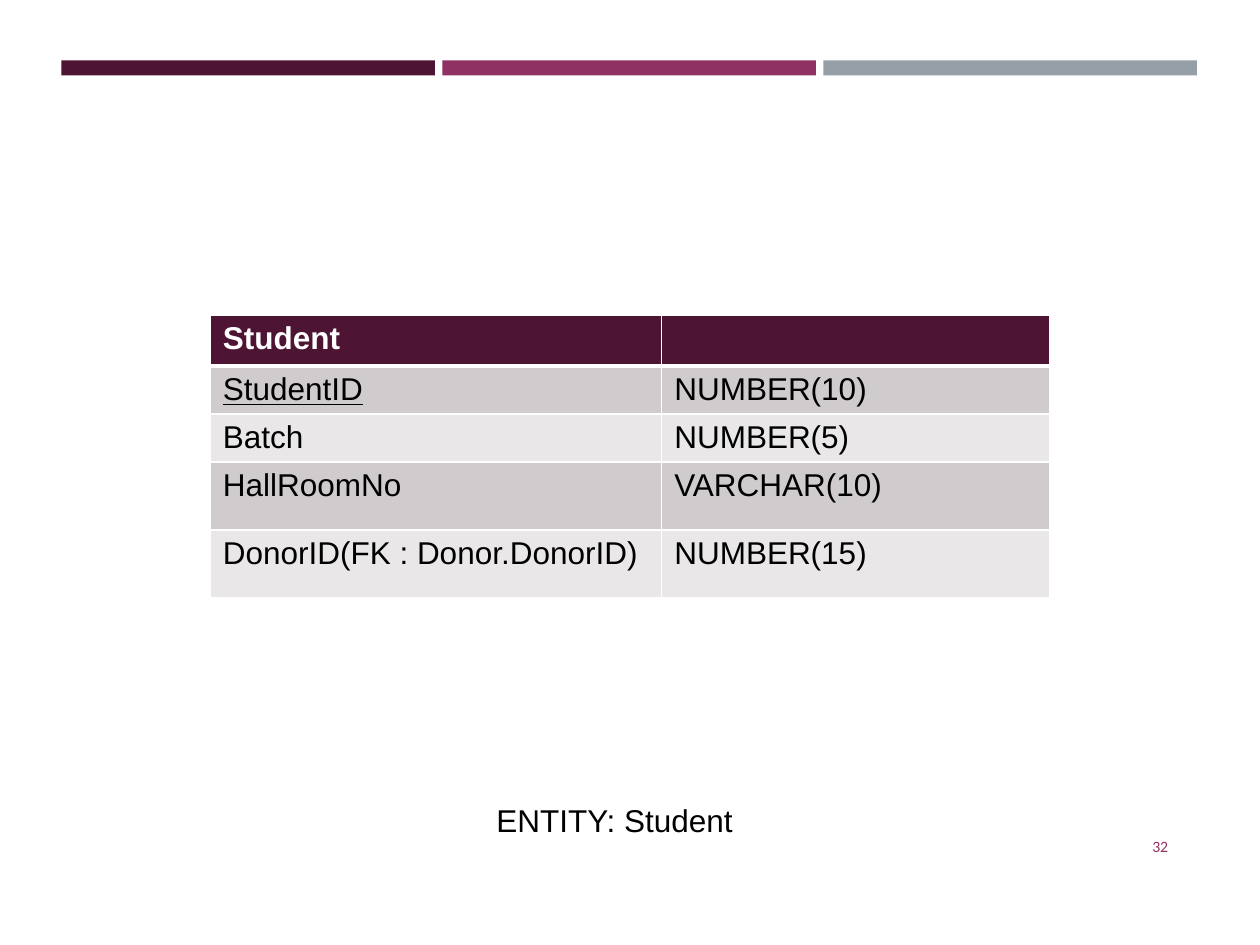
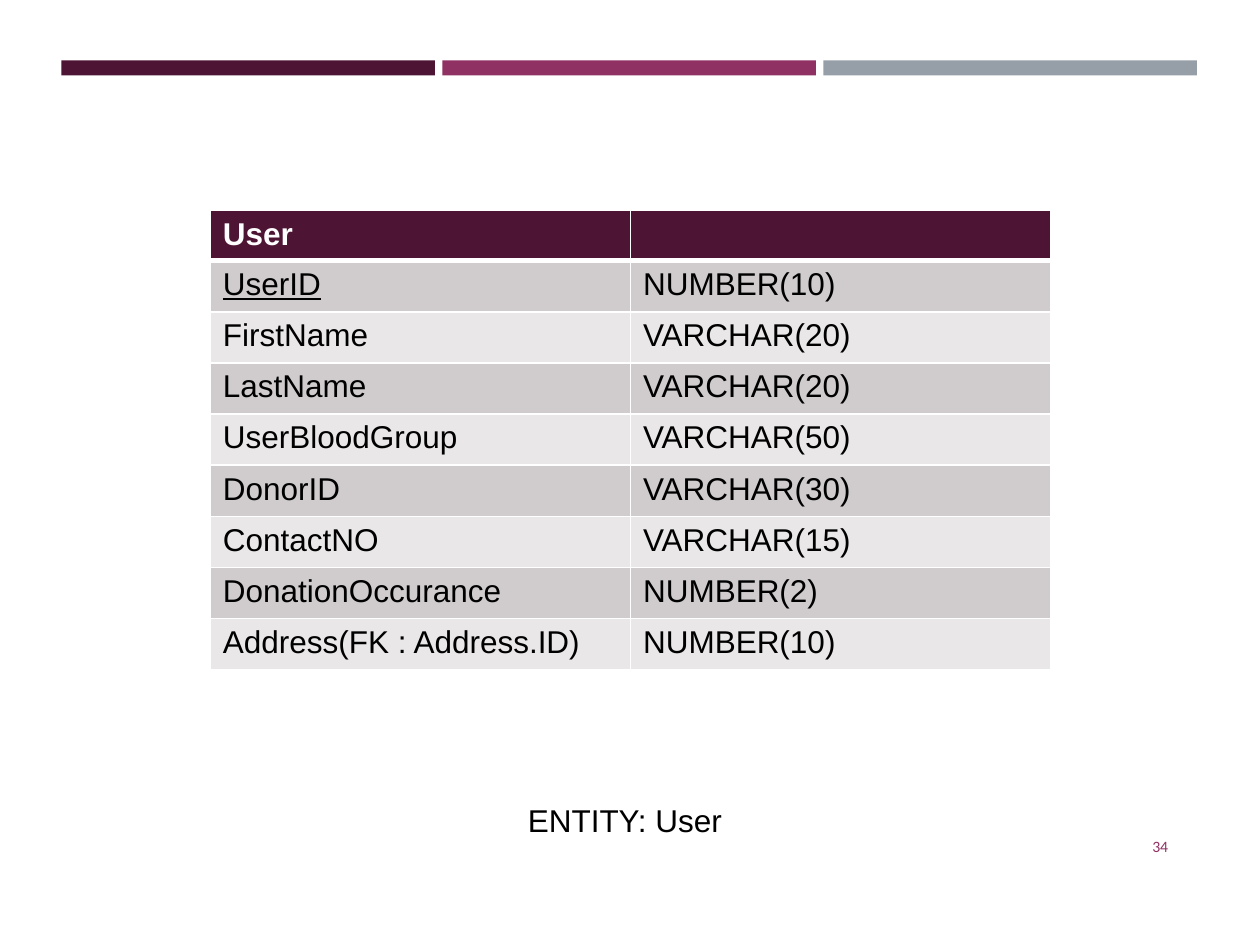
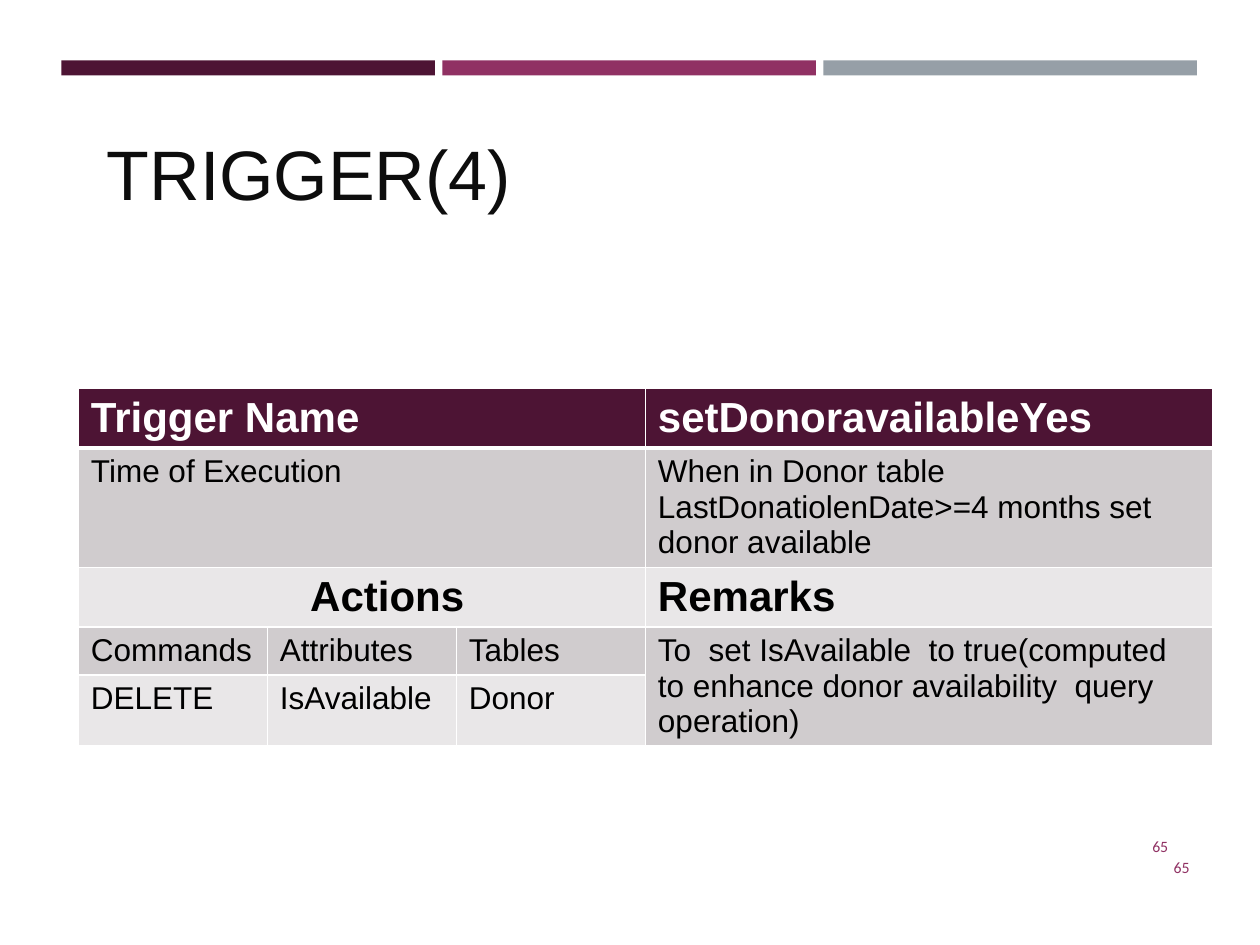
from lxml import etree
from pptx import Presentation
from pptx.dml.color import RGBColor
from pptx.enum import shapes, text
from pptx.oxml import ns
from pptx.util import Cm, Pt

PLUM = RGBColor(0x4D, 0x14, 0x34)
MAGENTA = RGBColor(0x90, 0x31, 0x63)
SLATE = RGBColor(0x96, 0x9F, 0xA7)
BAND_DARK = RGBColor(0xD0, 0xCC, 0xCE)
BAND_LIGHT = RGBColor(0xE9, 0xE7, 0xE8)
WHITE = RGBColor(0xFF, 0xFF, 0xFF)
BLACK = RGBColor(0, 0, 0)
TITLE_INK = RGBColor(0x0D, 0x0D, 0x0D)

CAPTION = {"name": "Arial", "size": Pt(18)}
NUMBER = {"name": "Calibri", "size": Pt(9)}
TITLE = {"name": "Arial", "size": Pt(40)}
BODY = {"name": "Arial", "size": Pt(18), "bold": False}
HEAD = {"name": "Arial", "size": Pt(18), "bold": True}
BIG_HEAD = {**HEAD, "size": Pt(24)}


def write(tf, content, fmt, color, align=text.PP_ALIGN.LEFT):
    """Put one formatted paragraph into a text frame."""
    p = tf.paragraphs[0]
    p.alignment = align
    r = p.add_run()
    r.text = content
    for name, value in fmt.items():
        setattr(r.font, name, value)
    r.font.color.rgb = color
    return p


def add_grid(s, left, top, widths, heights, rows, big_rows=()):
    """Add a banded table with white rules; big_rows are set as headings."""
    size = Cm(sum(widths)), Cm(sum(heights))
    table = s.shapes.add_table(len(rows), len(widths), Cm(left), Cm(top), *size).table
    for column, width in zip(table.columns, widths):
        column.width = Cm(width)
    for i, (row, height) in enumerate(zip(rows, heights)):
        table.rows[i].height = Cm(height)
        fill = PLUM if i == 0 else BAND_DARK if i % 2 else BAND_LIGHT
        fmt = BIG_HEAD if i in big_rows else BODY if i else HEAD
        for j, content in enumerate(row):
            cell = table.cell(i, j)
            tc_pr = cell._tc.get_or_add_tcPr()
            for side in ("L", "R", "T", "B"):
                thick = (i, side) in ((0, "B"), (1, "T"))
                ln = etree.SubElement(tc_pr, ns.qn(f"a:ln{side}"), w=str(Pt(3 if thick else 1)))
                ink = etree.SubElement(ln, ns.qn("a:solidFill"))
                etree.SubElement(ink, ns.qn("a:srgbClr"), val=str(WHITE))
            cell.fill.solid()
            cell.fill.fore_color.rgb = fill
            if content:
                write(cell.text_frame, content, fmt, BLACK if i else WHITE)
    return table


prs = Presentation()
prs.slide_width, prs.slide_height = Cm(25.4), Cm(19.05)

entities = [
    {"name": "Student", "number": "32", "top": 6.35, "caption_left": 6.99,
     "widths": (9.1, 7.83), "heights": (0.95, 0.95, 0.95, 1.37, 1.37),
     "fields": [("StudentID", "NUMBER(10)"), ("Batch", "NUMBER(5)"),
                ("HallRoomNo", "VARCHAR(10)"),
                ("DonorID(FK : Donor.DonorID)", "NUMBER(15)")]},
    {"name": "User", "number": "34", "top": 4.24, "caption_left": 7.2,
     "widths": (8.47, 8.47), "heights": (0.95,) + (1.03,) * 8,
     "fields": [("UserID", "NUMBER(10)"), ("FirstName", "VARCHAR(20)"),
                ("LastName", "VARCHAR(20)"), ("UserBloodGroup", "VARCHAR(50)"),
                ("DonorID", "VARCHAR(30)"), ("ContactNO", "VARCHAR(15)"),
                ("DonationOccurance", "NUMBER(2)"),
                ("Address(FK : Address.ID)", "NUMBER(10)")]},
]

# Entity slides
for entity in entities:
    s = prs.slides.add_slide(prs.slide_layouts[6])
    table = add_grid(s, 4.24, entity["top"], entity["widths"], entity["heights"],
                     [(entity["name"], "")] + entity["fields"])
    primary_key = table.cell(1, 0).text_frame.paragraphs[0].runs[0]
    primary_key.font.underline = True
    sp = s.shapes.add_textbox(Cm(entity["caption_left"]), Cm(16.03), Cm(10.8), Cm(1.07))
    sp.text_frame.word_wrap = True
    write(sp.text_frame, f"ENTITY: {entity['name']}", CAPTION, BLACK, text.PP_ALIGN.CENTER)

# Trigger slide
s = prs.slides.add_slide(prs.slide_layouts[5])
title = s.shapes.title
title.left, title.top, title.width, title.height = Cm(1.9), Cm(2.34), Cm(22.2), Cm(2.11)
title.text_frame.auto_size = text.MSO_AUTO_SIZE.NONE
title.text_frame.vertical_anchor = text.MSO_ANCHOR.BOTTOM
write(title.text_frame, "TRIGGER(4)", TITLE, TITLE_INK)

trigger_rows = [
    ("Trigger Name", "", "", "setDonoravailableYes"),
    ("Time of Execution", "", "",
     "When in Donor table LastDonatiolenDate>=4 months set donor available"),
    ("Actions", "", "", "Remarks"),
    ("Commands", "Attributes", "Tables",
     "To  set IsAvailable  to true(computed to enhance donor availability  query operation)"),
    ("DELETE", "IsAvailable", "Donor", ""),
]
table = add_grid(s, 1.58, 7.83, (3.81, 3.81, 3.81, 11.43), (1.17, 2.41, 1.19, 0.95, 1.43),
                 trigger_rows, big_rows=(0, 2))
for i in range(3):
    table.cell(i, 0).merge(table.cell(i, 2))
table.cell(3, 3).merge(table.cell(4, 3))
actions = table.cell(2, 0).text_frame.paragraphs[0]
actions._p.get_or_add_pPr().set("marL", str(Cm(4.42)))

# Top bands and slide numbers
number_spots = [(21.67, 16.54), (22.1, 16.97)]
numbers = [entity["number"] for entity in entities] + ["65"]
for s, number in zip(prs.slides, numbers):
    for i, color in enumerate((PLUM, MAGENTA, SLATE)):
        band = s.shapes.add_shape(shapes.MSO_SHAPE.RECTANGLE,
                                  Cm(1.24 + 7.68 * i), Cm(1.22), Cm(7.53), Cm(0.3))
        band.shadow.inherit = False
        band.fill.solid()
        band.fill.fore_color.rgb = color
        band.line.fill.background()
    for left, top in number_spots if number == "65" else number_spots[:1]:
        sp = s.shapes.add_textbox(Cm(left), Cm(top), Cm(2.13), Cm(1.02))
        sp.text_frame.word_wrap = True
        sp.text_frame.vertical_anchor = text.MSO_ANCHOR.MIDDLE
        write(sp.text_frame, number, NUMBER, MAGENTA, text.PP_ALIGN.RIGHT)

prs.save("out.pptx")
